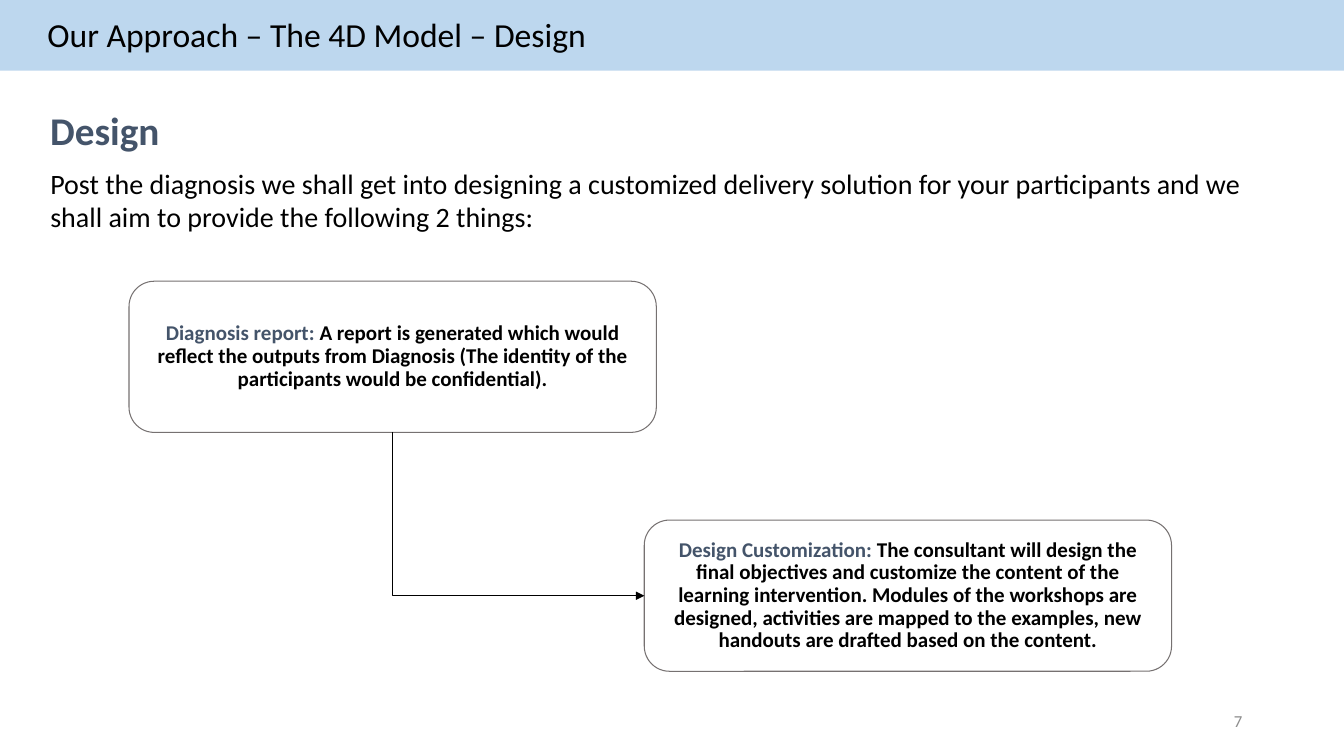
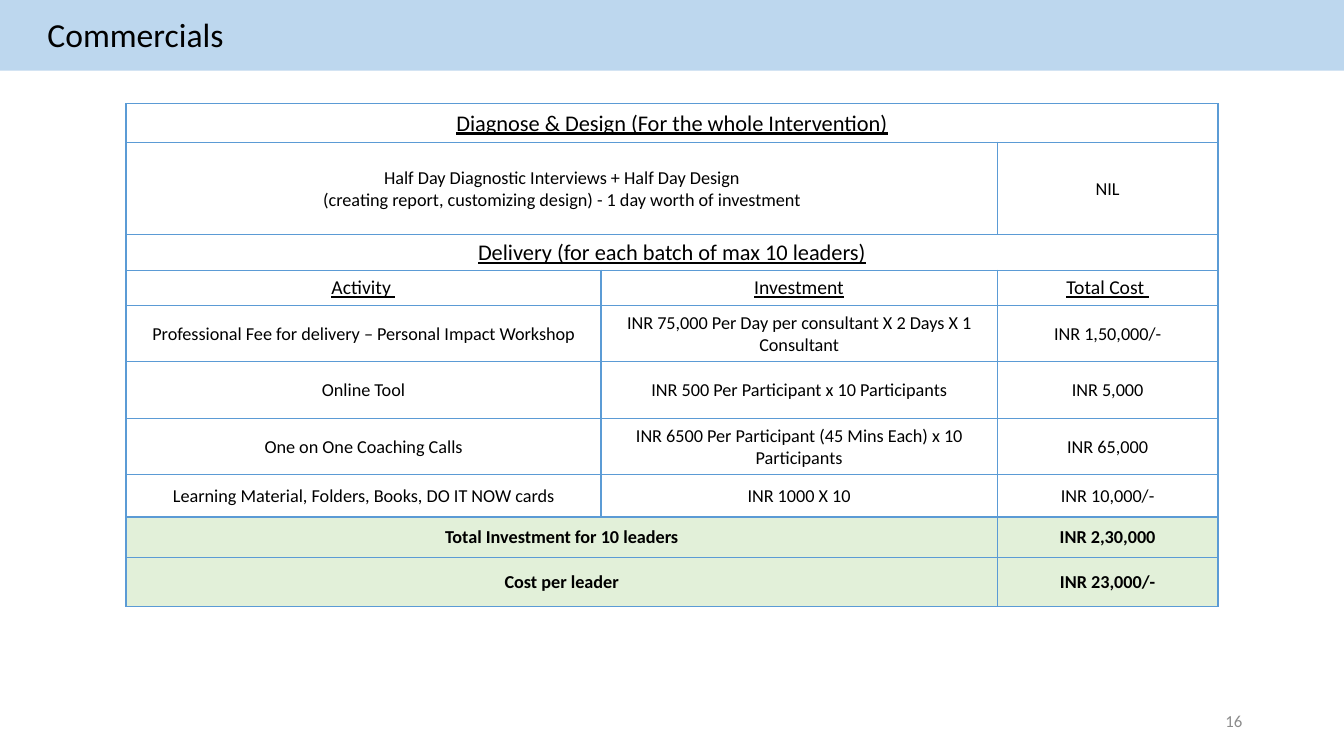
from dataclasses import dataclass

from lxml.etree import SubElement
from pptx import Presentation
from pptx.dml.color import RGBColor
from pptx.enum.shapes import MSO_CONNECTOR as Conn, MSO_SHAPE as Shape
from pptx.enum.text import MSO_ANCHOR as Anchor, PP_ALIGN as Align
from pptx.oxml.ns import qn
from pptx.util import Inches, Pt


@dataclass(frozen=True)
class Theme:
    """Colours, type sizes and font shared by the slides."""
    font: str = "Calibri"
    black: str = "000000"
    white: str = "FFFFFF"
    slate: str = "44546A"
    band: str = "BDD7EE"
    outline: str = "767171"
    grid: str = "5B9BD5"
    total: str = "E2F0D9"
    muted: str = "8C8C8C"
    title: int = 24
    heading: int = 28
    body: int = 20
    box: int = 15
    section: int = 16
    column: int = 14
    cell: int = 13
    number: int = 12


T = Theme()


def rgb(value):
    """Turn a hex string into a colour."""
    return RGBColor.from_string(value)


def paint(s, color):
    """Give a shape or cell a solid fill."""
    s.fill.solid()
    s.fill.fore_color.rgb = rgb(color)


def place(s, box):
    """Move a shape to a box of left, top, width and height in inches."""
    for name, value in zip(("left", "top", "width", "height"), box):
        setattr(s, name, Inches(value))


def add_run(p, text, size, color=T.black, **formats):
    """Add a formatted run to a paragraph."""
    r = p.add_run()
    r.text = text
    r.font.color.rgb = rgb(color)
    for name, value in {"name": T.font, "size": Pt(size), **formats}.items():
        setattr(r.font, name, value)


def add_text(slide, box, text, size, color=T.black, anchor=Anchor.TOP,
             align=Align.LEFT, spacing=None, **formats):
    """Place one wrapped paragraph in a text box."""
    tf = slide.shapes.add_textbox(*map(Inches, box)).text_frame
    tf.word_wrap = True
    tf.vertical_anchor = anchor
    p = tf.paragraphs[0]
    p.alignment = align
    p.line_spacing = spacing
    add_run(p, text, size, color, **formats)


def add_page(prs, title, number):
    """Start a slide with its title band and page number."""
    slide = prs.slides.add_slide(prs.slide_layouts[5])
    s = slide.shapes.title
    place(s, (0, -0.02, 13.33, 0.72))
    paint(s, T.band)
    tf = s.text_frame
    tf.margin_left = Inches(0.47)
    tf.vertical_anchor = Anchor.MIDDLE
    p = tf.paragraphs[0]
    p.alignment = Align.LEFT
    add_run(p, title, T.title)
    add_text(slide, (9.42, 6.95, 3, 0.4), str(number), T.number, T.muted,
             Anchor.MIDDLE, Align.RIGHT)
    return slide


def add_step(slide, box, label, text):
    """Draw a rounded box with a coloured label and its description."""
    s = slide.shapes.add_shape(Shape.ROUNDED_RECTANGLE, *map(Inches, box))
    s.shadow.inherit = False
    s.fill.background()
    s.line.color.rgb = rgb(T.outline)
    s.line.width = Pt(0.75)
    tf = s.text_frame
    margins = {"margin_left": 0.07, "margin_right": 0.07,
               "margin_top": 0.04, "margin_bottom": 0.04}
    for name, value in margins.items():
        setattr(tf, name, Inches(value))
    tf.word_wrap = True
    tf.vertical_anchor = Anchor.MIDDLE
    p = tf.paragraphs[0]
    p.alignment = Align.CENTER
    p.line_spacing = 0.9
    add_run(p, label + " ", T.box, T.slate, bold=True)
    add_run(p, text, T.box, bold=True)
    return s


def add_elbow(slide, start, end):
    """Link the bottom of one shape to the left side of another."""
    s = slide.shapes.add_connector(Conn.ELBOW, 0, 0, 0, 0)
    s.begin_connect(start, 2)
    s.end_connect(end, 1)
    x, y = start.left + start.width // 2, start.top + start.height
    across, down = end.left - x, end.top + end.height // 2 - y
    s.left, s.top = x + (across - down) // 2, y + (down - across) // 2
    s.width, s.height = down, across
    xfrm = s._element.spPr.find(qn("a:xfrm"))
    xfrm.set("rot", "16200000")
    xfrm.set("flipH", "1")
    s._element.spPr.find(qn("a:prstGeom")).set("prst", "bentConnector2")
    s.line.color.rgb = rgb(T.black)
    s.line.width = Pt(0.5)
    SubElement(s.line._get_or_add_ln(), qn("a:tailEnd"), type="triangle")
    SubElement(s._element.spPr, qn("a:effectLst"))


def set_borders(cell):
    """Line all four sides of a cell."""
    tc_pr = cell._tc.get_or_add_tcPr()
    for i, side in enumerate(("lnL", "lnR", "lnT", "lnB")):
        ln = tc_pr.makeelement(qn("a:" + side), {"w": str(Pt(1))})
        fill = SubElement(ln, qn("a:solidFill"))
        SubElement(fill, qn("a:srgbClr"), val=T.grid)
        tc_pr.insert(i, ln)


def fill_cell(cell, text, color, **formats):
    """Write centred lines into a cell and set its fill and borders."""
    paint(cell, color)
    set_borders(cell)
    cell.vertical_anchor = Anchor.MIDDLE
    margins = {"margin_left": 0.01, "margin_right": 0.01,
               "margin_top": 0.01, "margin_bottom": 0}
    for name, value in margins.items():
        setattr(cell, name, Inches(value))
    tf = cell.text_frame
    for i, line in enumerate(text.split("\n")):
        p = tf.add_paragraph() if i else tf.paragraphs[0]
        p.alignment = Align.CENTER
        if line:
            add_run(p, line, **formats)


def add_cost_table(slide, box, widths, rows):
    """Draw the price table; a None cell joins the one before it."""
    frame = slide.shapes.add_table(len(rows), len(widths), *map(Inches, box))
    table = frame.table
    table.first_row = table.horz_banding = False
    for column, width in zip(table.columns, widths):
        column.width = Inches(width)
    kinds = {
        "section": (T.white, {"size": T.section, "underline": True}),
        "column": (T.white, {"size": T.column, "underline": True}),
        "item": (T.white, {"size": T.cell}),
        "total": (T.total, {"size": T.cell, "bold": True}),
    }
    for i, (kind, height, texts) in enumerate(rows):
        table.rows[i].height = Inches(height)
        color, formats = kinds[kind]
        for j, text in enumerate(texts):
            fill_cell(table.cell(i, j), text or "", color, **formats)
        joined = texts.count(None)
        if joined:
            table.cell(i, 0).merge(table.cell(i, joined))


def build_design(prs):
    """Build the design slide."""
    slide = add_page(prs, "Our Approach – The 4D Model – Design", 7)
    add_text(slide, (0.4, 1.03, 2.57, 0.57), "Design", T.heading, T.slate,
             Anchor.MIDDLE, spacing=0.9, bold=True)
    add_text(slide, (0.4, 1.6, 12.21, 1.45),
             "Post the diagnosis we shall get into designing a customized "
             "delivery solution for your participants and we shall aim to "
             "provide the following 2 things:", T.body)
    report = add_step(
        slide, (1.28, 2.79, 5.23, 1.5), "Diagnosis report:",
        "A report is generated which would reflect the outputs from Diagnosis "
        "(The identity of the participants would be confidential).")
    custom = add_step(
        slide, (6.39, 5.16, 5.23, 1.5), "Design Customization:",
        "The consultant will design the final objectives and customize the "
        "content of the learning intervention. Modules of the workshops are "
        "designed, activities are mapped to the examples, new handouts are "
        "drafted based on the content.")
    add_elbow(slide, report, custom)


def build_commercials(prs):
    """Build the commercials slide."""
    slide = add_page(prs, "Commercials", 16)
    rows = [
        ("section", 0.38,
         ("Diagnose & Design (For the whole Intervention)", None, None)),
        ("item", 0.92,
         ("Half Day Diagnostic Interviews + Half Day Design\n"
          "(creating report, customizing design) - 1 day worth of investment",
          None, "NIL")),
        ("section", 0.35,
         ("Delivery (for each batch of max 10 leaders)", None, None)),
        ("column", 0.35, ("Activity ", "Investment", "Total Cost ")),
        ("item", 0.56,
         ("Professional Fee for delivery – Personal Impact Workshop",
          "INR 75,000 Per Day per consultant X 2 Days X 1 Consultant",
          "INR 1,50,000/-")),
        ("item", 0.56,
         ("Online Tool", "INR 500 Per Participant x 10 Participants",
          "INR 5,000")),
        ("item", 0.56,
         ("One on One Coaching Calls",
          "INR 6500 Per Participant (45 Mins Each) x 10 Participants",
          "INR 65,000")),
        ("item", 0.42,
         ("Learning Material, Folders, Books, DO IT NOW cards",
          "INR 1000 X 10", "INR 10,000/-")),
        ("total", 0.4, ("Total Investment for 10 leaders", None,
                        "INR 2,30,000")),
        ("total", 0.49, ("Cost per leader", None, "INR 23,000/-")),
    ]
    add_cost_table(slide, (1.25, 1.03, 10.83, 5), (4.71, 3.93, 2.19), rows)


def main():
    """Build and save the presentation."""
    prs = Presentation()
    prs.slide_width, prs.slide_height = Inches(13.33), Inches(7.5)
    build_design(prs)
    build_commercials(prs)
    prs.save("out.pptx")


if __name__ == "__main__":
    main()
